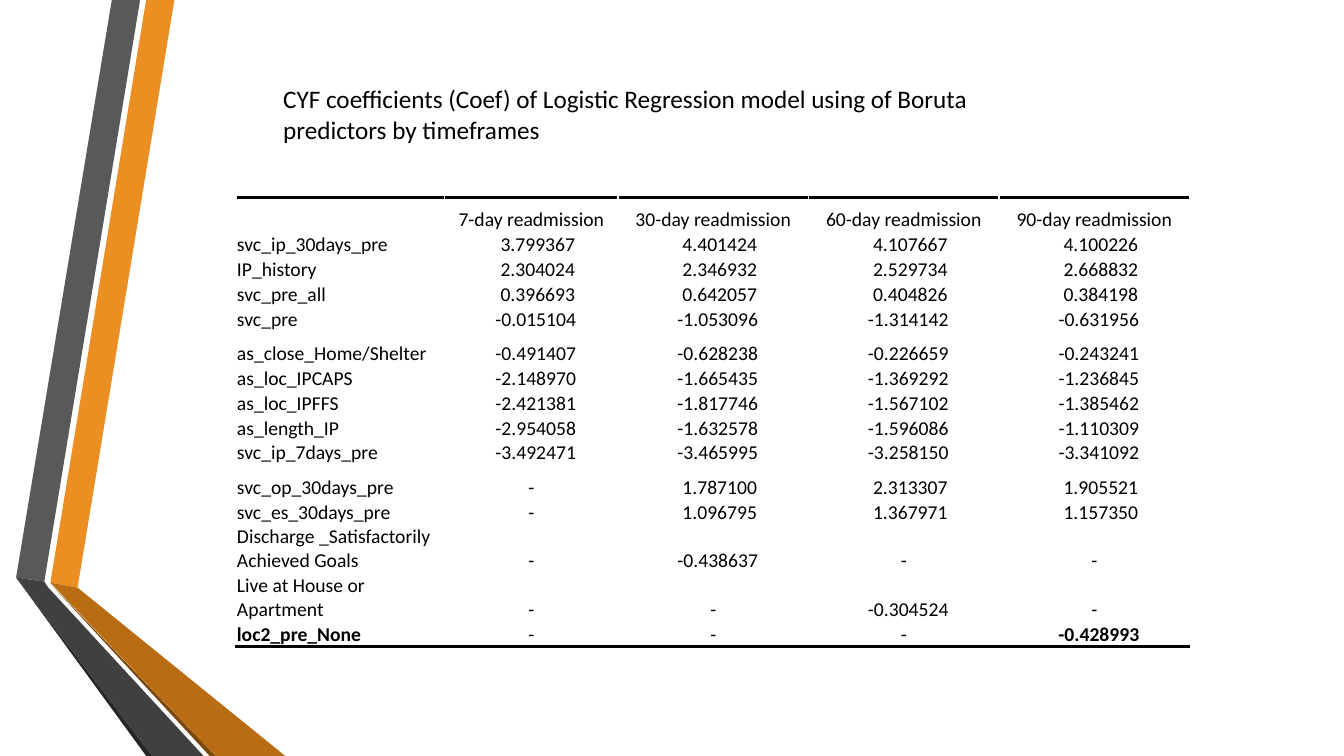
from lxml.etree import SubElement
from pptx import Presentation
from pptx.dml.color import RGBColor
from pptx.enum.text import MSO_ANCHOR, MSO_AUTO_SIZE, PP_ALIGN
from pptx.oxml import parse_xml
from pptx.oxml.ns import nsdecls, qn
from pptx.util import Inches, Pt

BLACK = RGBColor(0x00, 0x00, 0x00)
WHITE = RGBColor(0xFF, 0xFF, 0xFF)
ORANGE = RGBColor(0xEB, 0x8F, 0x22)
ORANGE_SHADE = RGBColor(0xB9, 0x6C, 0x11)
ORANGE_EDGE = RGBColor(0x7B, 0x48, 0x0B)
GREY = RGBColor(0x59, 0x59, 0x59)
GREY_SHADE = RGBColor(0x40, 0x40, 0x40)
GREY_EDGE = RGBColor(0x26, 0x26, 0x26)
FONT = "Calibri"

# Outlines of the folded ribbons, in inches from the corner of their box
RIBBONS = [
    (ORANGE, [(0.5, 5.78), (0.77, 5.83), (1.73, 0), (1.45, 0)]),
    (GREY, [(1.39, 0), (1.11, 0), (0.16, 5.73), (0.44, 5.77)]),
    (GREY_EDGE, [(0.16, 5.73), (1.45, 7.5), (1.51, 7.5)]),
    (ORANGE_EDGE, [(0.5, 5.79), (2.08, 7.5), (2.14, 7.5)]),
    (ORANGE_SHADE, [(0.5, 5.78), (2.14, 7.5), (2.83, 7.5), (0.77, 5.83)]),
    (GREY_SHADE, [(2.02, 7.5), (0.48, 5.83), (0.44, 5.77), (0.16, 5.73),
                  (1.51, 7.5)]),
]

TITLE = ("CYF coefficients (Coef) of Logistic Regression model using of Boruta "
         "predictors by timeframes")

COEFFICIENTS = [
    ("", "7-day readmission", "30-day readmission", "60-day readmission",
     "90-day readmission"),
    ("svc_ip_30days_pre", "3.799367", "4.401424", "4.107667", "4.100226"),
    ("IP_history", "2.304024", "2.346932", "2.529734", "2.668832"),
    ("svc_pre_all", "0.396693", "0.642057", "0.404826", "0.384198"),
    ("svc_pre", "-0.015104", "-1.053096", "-1.314142", "-0.631956"),
    ("as_close_Home/Shelter", "-0.491407", "-0.628238", "-0.226659", "-0.243241"),
    ("as_loc_IPCAPS", "-2.148970", "-1.665435", "-1.369292", "-1.236845"),
    ("as_loc_IPFFS", "-2.421381", "-1.817746", "-1.567102", "-1.385462"),
    ("as_length_IP", "-2.954058", "-1.632578", "-1.596086", "-1.110309"),
    ("svc_ip_7days_pre", "-3.492471", "-3.465995", "-3.258150", "-3.341092"),
    ("svc_op_30days_pre", "-", "1.787100", "2.313307", "1.905521"),
    ("svc_es_30days_pre", "-", "1.096795", "1.367971", "1.157350"),
    ("Discharge _Satisfactorily Achieved Goals", "-", "-0.438637", "-", "-"),
    ("Live at House or Apartment", "-", "-", "-0.304524", "-"),
    ("loc2_pre_None", "-", "-", "-", "-0.428993"),
]
COLUMN_WIDTHS = [2.07, 1.72, 1.89, 1.89, 1.89]
ROW_HEIGHT = 0.24
TALL_ROWS = {0: 0.34, 5: 0.34, 10: 0.34, 12: 0.48, 13: 0.48}


def add_ribbons(slide, left, top):
    for color, corners in RIBBONS:
        points = [(Inches(left + x), Inches(top + y)) for x, y in corners]
        outline = slide.shapes.build_freeform(*points[0])
        outline.add_line_segments(points[1:], close=True)
        ribbon = outline.convert_to_shape()
        ribbon.shadow.inherit = False
        ribbon.fill.solid()
        ribbon.fill.fore_color.rgb = color
        ribbon.line.fill.background()


def set_font(paragraph, size, bold=False):
    paragraph.font.name = FONT
    paragraph.font.size = Pt(size)
    paragraph.font.bold = bold
    paragraph.font.color.rgb = BLACK


def add_title(slide, left, top, width, height):
    title = slide.shapes.add_textbox(
        Inches(left), Inches(top), Inches(width), Inches(height)).text_frame
    title.word_wrap = True
    title.auto_size = MSO_AUTO_SIZE.SHAPE_TO_FIT_TEXT
    title.text = TITLE
    set_font(title.paragraphs[0], 18)


def add_rule(cell, side):
    rule = parse_xml(f'<a:{side} {nsdecls("a")} w="{Pt(2)}"/>')
    fill = SubElement(rule, qn("a:solidFill"))
    SubElement(fill, qn("a:srgbClr"), val=str(BLACK))
    cell._tc.get_or_add_tcPr().insert(0, rule)


def number_indent(text):
    """Shift numbers right of centre, those without a minus sign further."""
    if not text[-1:].isdigit():
        return 0
    return 0.09 if text.startswith("-") else 0.13


def fill_cell(cell, text, is_label, bold):
    cell.fill.solid()
    cell.fill.fore_color.rgb = WHITE
    cell.vertical_anchor = MSO_ANCHOR.BOTTOM
    cell.margin_left = Inches(0.01 + number_indent(text))
    cell.margin_right = cell.margin_top = Inches(0.01)
    cell.margin_bottom = 0
    cell.text = text
    paragraph = cell.text_frame.paragraphs[0]
    paragraph.alignment = PP_ALIGN.LEFT if is_label else PP_ALIGN.CENTER
    set_font(paragraph, 14, bold)


def add_coefficients(slide, left, top):
    last = len(COEFFICIENTS) - 1
    heights = [TALL_ROWS.get(row, ROW_HEIGHT) for row in range(last + 1)]
    table = slide.shapes.add_table(
        len(heights), len(COLUMN_WIDTHS), Inches(left), Inches(top),
        Inches(sum(COLUMN_WIDTHS)), Inches(sum(heights))).table
    table.first_row = table.horz_banding = False
    for column, width in zip(table.columns, COLUMN_WIDTHS):
        column.width = Inches(width)
    for row, values in enumerate(COEFFICIENTS):
        table.rows[row].height = Inches(heights[row])
        for col, text in enumerate(values):
            cell = table.cell(row, col)
            fill_cell(cell, text, col == 0, row == last and text != "-")
            # Rules above the header and below the last row
            if row == 0:
                add_rule(cell, "lnT")
            elif row == last:
                add_rule(cell, "lnB")


def main():
    deck = Presentation()
    deck.slide_width, deck.slide_height = Inches(13.33), Inches(7.5)
    slide = deck.slides.add_slide(deck.slide_layouts[6])
    add_ribbons(slide, 0, 0)
    add_coefficients(slide, 2.34, 1.96)
    add_title(slide, 2.71, 0.78, 7.33, 0.71)
    deck.save("out.pptx")


if __name__ == "__main__":
    main()
